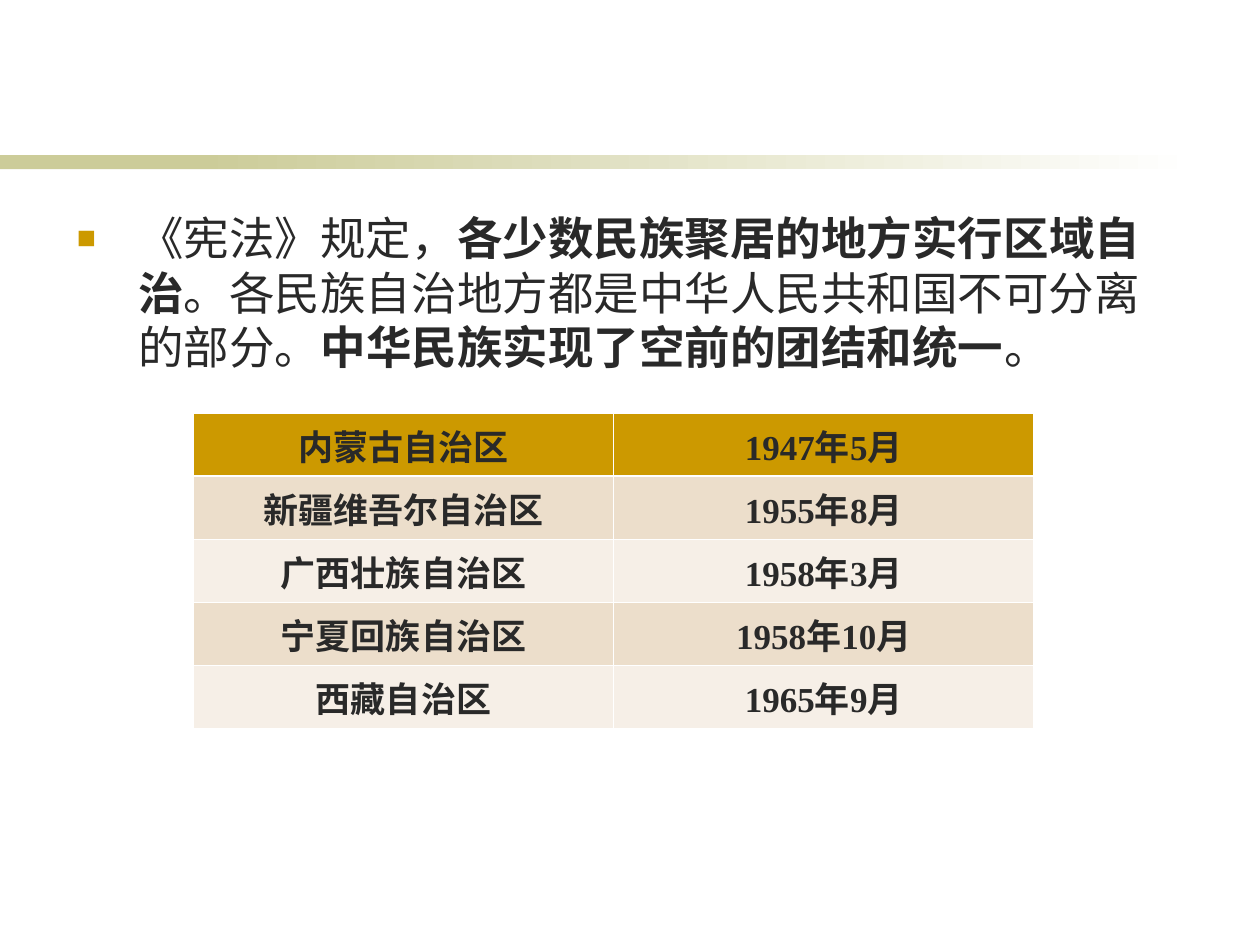
from lxml import etree
from pptx import Presentation
from pptx.dml.color import RGBColor
from pptx.enum.shapes import MSO_SHAPE
from pptx.enum.text import PP_ALIGN
from pptx.oxml.ns import qn
from pptx.util import Cm, Pt

RECTANGLE = MSO_SHAPE.RECTANGLE
CENTER = PP_ALIGN.CENTER

CJK_FONT = "Noto Sans CJK SC"
LATIN_FONT = "Times New Roman"
INK, GOLD, OLIVE, WHITE = "292929", "CC9900", "CCCC99", "FFFFFF"
BANDS = ["ECDECB", "F6EFE7"]

STATEMENT = [
    ("《宪法》规定，", False),
    ("各少数民族聚居的地方实行区域自治", True),
    ("。各民族自治地方都是中华人民共和国不可分离的部分。", False),
    ("中华民族实现了空前的团结和统一", True),
    ("。", False),
]
REGIONS = [
    ("内蒙古自治区", "1947年5月"),
    ("新疆维吾尔自治区", "1955年8月"),
    ("广西壮族自治区", "1958年3月"),
    ("宁夏回族自治区", "1958年10月"),
    ("西藏自治区", "1965年9月"),
]
ROW_HEIGHT = 1.27


def color(value):
    return RGBColor.from_string(value)


def add_element(parent, tag, **attributes):
    return etree.SubElement(parent, qn(tag), attributes)


def format_span(span, size, bold, latin):
    font = span.font
    font.size, font.bold, font.name = Pt(size), bold, latin
    font.color.rgb = color(INK)
    add_element(font._element, "a:ea", typeface=CJK_FONT)


def add_bar(page, left, width, end_color=None):
    """Draw a stretch of the rule, fading to end_color when one is given."""
    bar = page.shapes.add_shape(RECTANGLE, Cm(left), Cm(3.13), Cm(width), Cm(0.28))
    bar.shadow.inherit = False
    bar.line.fill.background()
    if end_color is None:
        bar.fill.solid()
        bar.fill.fore_color.rgb = color(OLIVE)
        return
    bar.fill.gradient()
    bar.fill.gradient_angle = 0
    for position, (stop, value) in enumerate(
        zip(bar.fill.gradient_stops, [OLIVE, end_color])
    ):
        stop.position = position
        stop.color.rgb = color(value)


def add_bullet(para):
    properties = para._p.get_or_add_pPr()
    properties.set("marL", str(Cm(1.24)))
    properties.set("indent", str(-Cm(1.24)))
    bullet_color = add_element(properties, "a:buClr")
    add_element(bullet_color, "a:srgbClr", val=GOLD)
    add_element(properties, "a:buSzPct", val="70000")
    add_element(properties, "a:buFont", typeface=LATIN_FONT)
    add_element(properties, "a:buChar", char="■")


def add_statement(page):
    box = page.shapes.add_textbox(Cm(1.3), Cm(4.11), Cm(22.6), Cm(12.19))
    frame = box.text_frame
    frame.word_wrap = True
    para = frame.paragraphs[0]
    add_bullet(para)
    for text, bold in STATEMENT:
        span = para.add_run()
        span.text = text
        format_span(span, 26, bold, CJK_FONT)


def set_borders(cell, top, bottom):
    """Give the cell white borders; top and bottom are widths in points."""
    properties = cell._tc.get_or_add_tcPr()
    widths = {"a:lnL": 0.45, "a:lnR": 0.45, "a:lnT": top, "a:lnB": bottom}
    for tag, width in widths.items():
        line = add_element(properties, tag, w=str(Pt(width)))
        fill = add_element(line, "a:solidFill")
        add_element(fill, "a:srgbClr", val=WHITE)


def add_region_table(page):
    frame = page.shapes.add_table(
        len(REGIONS), 2, Cm(3.9), Cm(8.33), Cm(16.94), Cm(ROW_HEIGHT * len(REGIONS))
    )
    table = frame.table
    for row, texts in enumerate(REGIONS):
        for column, text in enumerate(texts):
            cell = table.cell(row, column)
            set_borders(
                cell,
                top=1.47 if row == 1 else 0.45,
                bottom=1.47 if row == 0 else 0.45,
            )
            cell.fill.solid()
            fill = GOLD if row == 0 else BANDS[(row - 1) % 2]
            cell.fill.fore_color.rgb = color(fill)
            para = cell.text_frame.paragraphs[0]
            para.text = text
            para.alignment = CENTER
            format_span(para.runs[0], 20, True, LATIN_FONT)


def main():
    deck = Presentation()
    deck.slide_width, deck.slide_height = Cm(25.4), Cm(19.05)
    page = deck.slides.add_slide(deck.slide_layouts[6])
    add_bar(page, 0, 5.92)
    add_bar(page, 4.01, 20.12, end_color=WHITE)
    add_statement(page)
    add_region_table(page)
    deck.save("out.pptx")


if __name__ == "__main__":
    main()
